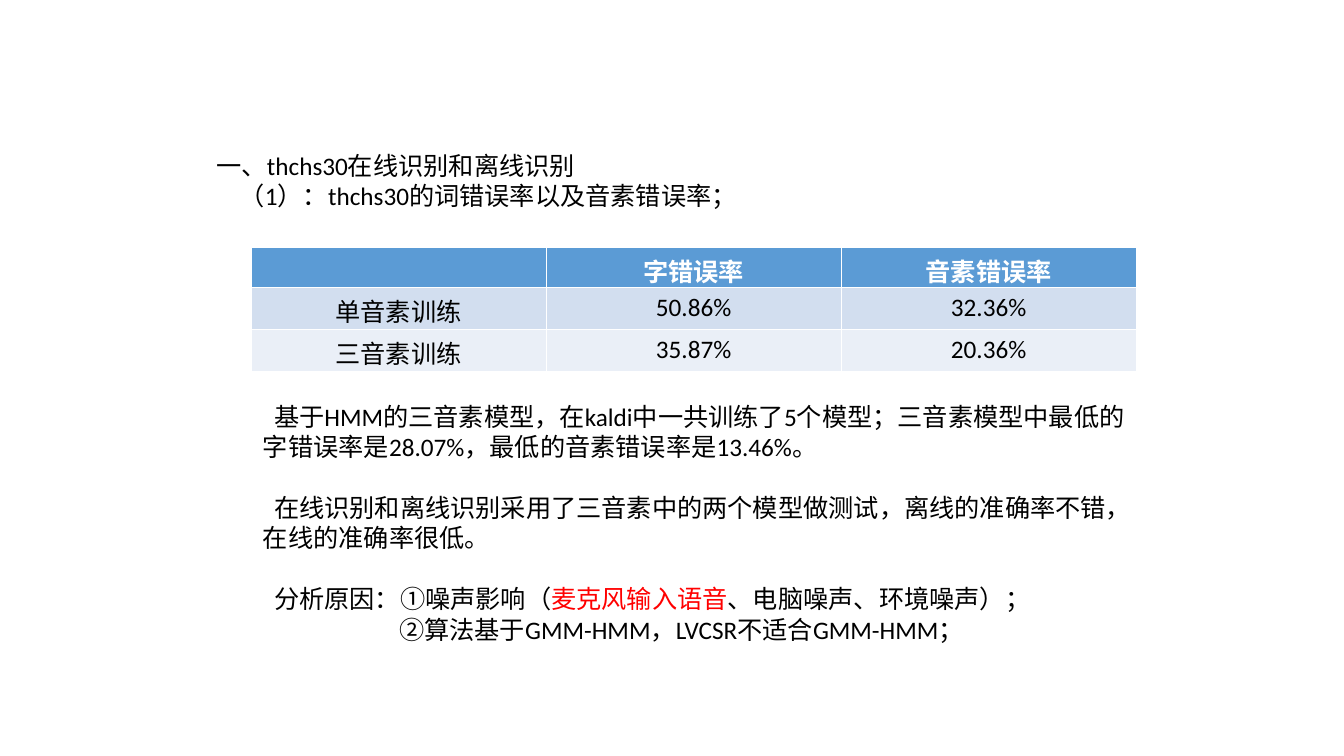
from pptx import Presentation
from pptx.dml.color import RGBColor
from pptx.enum.text import MSO_AUTO_SIZE as AutoSize, PP_ALIGN as Align
from pptx.util import Inches, Pt

COLORS = {
    "text": "000000",
    "alert": "FF0000",
    "header": "5B9BD5",
    "header_text": "FFFFFF",
    "band_dark": "D2DEEF",
    "band_light": "EAEFF7",
}

HEADING = [
    (0, 0, [("一、thchs30在线识别和离线识别", "text")]),
    (0.23, 0, [("（1）：thchs30的词错误率以及音素错误率；", "text")]),
]
ERROR_RATES = [
    ["", "字错误率", "音素错误率"],
    ["单音素训练", "50.86%", "32.36%"],
    ["三音素训练", "35.87%", "20.36%"],
]
ANALYSIS = [
    (0.11, 0, [("基于HMM的三音素模型，在kaldi中一共训练了5个模型；三音素模型中最低的字错误率是28.07%，最低的音素错误率是13.46%。", "text")]),
    (0.11, 22, [("在线识别和离线识别采用了三音素中的两个模型做测试，离线的准确率不错，在线的准确率很低。", "text")]),
    (0.11, 22, [("分析原因：①噪声影响（", "text"),
                ("麦克风输入语音", "alert"),
                ("、电脑噪声、环境噪声）；", "text")]),
    (1.35, 0, [("②算法基于GMM-HMM，LVCSR不适合GMM-HMM；", "text")]),
]


def rgb(name):
    return RGBColor.from_string(COLORS[name])


def set_font(p, color, bold=False):
    p.font.name = "Calibri"
    p.font.size = Pt(18)
    p.font.bold = bold
    p.font.color.rgb = rgb(color)


def add_text(s, x, y, w, h, paragraphs):
    tf = s.shapes.add_textbox(Inches(x), Inches(y), Inches(w), Inches(h)).text_frame
    tf.word_wrap = True
    tf.auto_size = AutoSize.SHAPE_TO_FIT_TEXT
    for i, (indent, before, runs) in enumerate(paragraphs):
        p = tf.add_paragraph() if i else tf.paragraphs[0]
        pPr = p._p.get_or_add_pPr()
        pPr.set("marL", "0")
        pPr.set("indent", str(Inches(indent)))
        p.space_before = Pt(before)
        set_font(p, "text")
        for text, color in runs:
            r = p.add_run()
            r.text = text
            if color != "text":
                r.font.color.rgb = rgb(color)


def add_error_table(s, x, y, w, heights, rows):
    cols = len(rows[0])
    table = s.shapes.add_table(len(rows), cols, Inches(x), Inches(y),
                               Inches(w), Inches(sum(heights))).table
    for col in table.columns:
        col.width = Inches(w / cols)
    for i, (height, values) in enumerate(zip(heights, rows)):
        table.rows[i].height = Inches(height)
        fill = ("header", "band_dark", "band_light")[i]
        for j, value in enumerate(values):
            cell = table.cell(i, j)
            cell.fill.solid()
            cell.fill.fore_color.rgb = rgb(fill)
            cell.text = value
            p = cell.text_frame.paragraphs[0]
            p.alignment = Align.CENTER
            set_font(p, "text" if i else "header_text", bold=i == 0)


def main():
    prs = Presentation()
    prs.slide_width, prs.slide_height = Inches(13.33), Inches(7.5)
    s = prs.slides.add_slide(prs.slide_layouts[6])
    add_text(s, 2.05, 1.44, 9.67, 1.01, HEADING)
    add_error_table(s, 2.49, 2.45, 8.78, [0.4, 0.42, 0.42], ERROR_RATES)
    add_text(s, 2.51, 3.93, 8.75, 2.52, ANALYSIS)
    prs.save("out.pptx")


if __name__ == "__main__":
    main()
